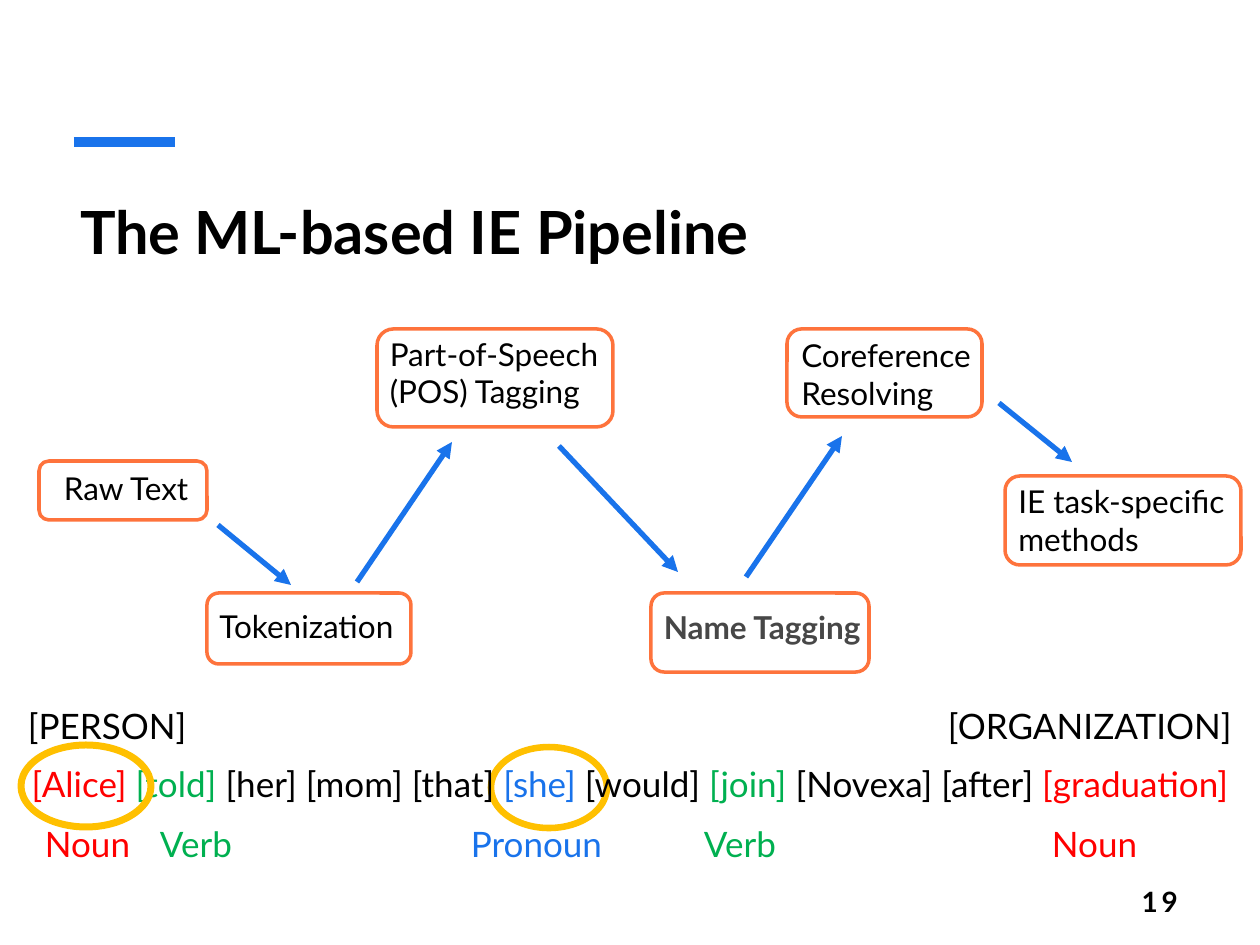
from lxml.etree import SubElement
from pptx import Presentation
from pptx.dml.color import RGBColor
from pptx.enum.shapes import MSO_CONNECTOR, MSO_SHAPE
from pptx.enum.text import MSO_ANCHOR, PP_ALIGN
from pptx.oxml.ns import qn
from pptx.util import Pt

PX = 914400 / 126
BLACK, BLUE, RED, GREEN = "000000", "1973EB", "FF0000", "00B050"
ORANGE, GOLD, GRAY = "FE733C", "FFC000", "474747"
INSET = 13


def emu(*lengths):
    return [round(length * PX) for length in lengths]


def color(value):
    return RGBColor.from_string(value)


class Slide:
    font = "Lato"

    def __init__(self, deck):
        self.page = deck.slides.add_slide(deck.slide_layouts[6])

    def put_text(self, box, spans, margins, size=20, bold=False, spacing=0,
                 align=PP_ALIGN.LEFT, anchor=MSO_ANCHOR.TOP, wrap=True):
        frame = box.text_frame
        left, top, right = emu(*margins)
        layout = {"margin_left": left, "margin_top": top, "margin_right": right,
                  "margin_bottom": 0, "word_wrap": wrap, "vertical_anchor": anchor}
        for name, value in layout.items():
            setattr(frame, name, value)
        para = frame.paragraphs[0]
        para.alignment = align
        for words, shade in spans:
            span = para.add_run()
            span.text = words
            for name, value in {"name": self.font, "size": Pt(size), "bold": bold}.items():
                setattr(span.font, name, value)
            span.font.color.rgb = color(shade)
            if spacing:
                span._r.get_or_add_rPr().set("spc", str(spacing))

    def text(self, place, spans, margins=(INSET, 6, INSET), **style):
        box = self.page.shapes.add_textbox(*emu(*place))
        self.put_text(box, spans, margins, **style)

    def outline(self, kind, place, shade, width):
        shape = self.page.shapes.add_shape(kind, *emu(*place))
        shape.shadow.inherit = False
        shape.fill.background()
        shape.line.color.rgb = color(shade)
        shape.line.width = Pt(width)
        return shape

    def step(self, place, words, indent, drop, shade=BLACK, bold=False):
        shape = self.outline(MSO_SHAPE.ROUNDED_RECTANGLE, place, ORANGE, 2)
        corner = round(place[3] * 0.05)  # text inset caused by the rounding
        self.put_text(shape, [(words, shade)], (indent - corner, drop - corner, 0),
                      size=18, bold=bold)

    def line(self, ends, width, arrow=False):
        line = self.page.shapes.add_connector(MSO_CONNECTOR.STRAIGHT, *emu(*ends))
        line.line.color.rgb = color(BLUE)
        line.line.width = Pt(width)
        properties = line._element.spPr
        if arrow:
            SubElement(properties.find(qn("a:ln")), qn("a:tailEnd"), type="triangle")
        SubElement(properties, qn("a:effectLst"))


def main():
    deck = Presentation()
    deck.slide_width, deck.slide_height = emu(1260, 945)
    slide = Slide(deck)

    # Title with accent bar
    slide.line((74, 142, 175, 142), 6)
    slide.text((67, 189, 1125, 151), [("The ML-based IE Pipeline", BLACK)],
               size=34, bold=True)

    # Pipeline steps
    slide.step((39, 461, 168, 59), "Raw Text", 25, 8)
    slide.step((207, 593, 204, 71), "Tokenization", INSET, 15)
    slide.step((377, 329, 236, 98), "Part-of-Speech (POS) Tagging", INSET, 6)
    slide.step((651, 593, 218, 79), "Name Tagging", INSET, 15, GRAY, True)
    slide.step((787, 329, 195, 88), "Coreference Resolving", INSET + 1, 7)
    slide.step((1005, 476, 236, 89), "IE task-specific methods", INSET, 6)

    # Arrows between steps
    for ends in [(218, 525, 291, 585), (357, 582, 452, 442), (559, 446, 678, 572),
                 (746, 577, 842, 436), (999, 403, 1072, 462)]:
        slide.line(ends, 3, arrow=True)

    # Tagged sentence with its coreferent words circled
    slide.outline(MSO_SHAPE.OVAL, (491, 747, 116, 81), GOLD, 3.75)
    slide.text((0, 756, 1260, 55), [
        ("[Alice] ", RED), ("[told] ", GREEN), ("[her] [mom] [that] ", BLACK),
        ("[she] ", BLUE), ("[would] ", BLACK), ("[join] ", GREEN),
        ("[Novexa] [after] ", BLACK), ("[graduation]", RED)], align=PP_ALIGN.CENTER)
    slide.outline(MSO_SHAPE.OVAL, (21, 745, 130, 82), GOLD, 4)

    # Entity types above, parts of speech below
    for left, top, width, words, shade in [
            (28, 698, 170, "[PERSON]", BLACK), (948, 698, 300, "[ORGANIZATION]", BLACK),
            (45, 816, 100, "Noun", RED), (160, 816, 100, "Verb", GREEN),
            (471, 816, 150, "Pronoun", BLUE), (704, 816, 100, "Verb", GREEN),
            (1052, 816, 100, "Noun", RED)]:
        slide.text((left, top, width, 55), [(words, shade)], (0, 6, 0), wrap=False)

    # Page number
    slide.text((1116, 876, 75, 50), [("19", BLACK)], (0, 0, INSET), size=16, bold=True,
               spacing=220, align=PP_ALIGN.RIGHT, anchor=MSO_ANCHOR.MIDDLE)

    deck.save("out.pptx")


if __name__ == "__main__":
    main()
